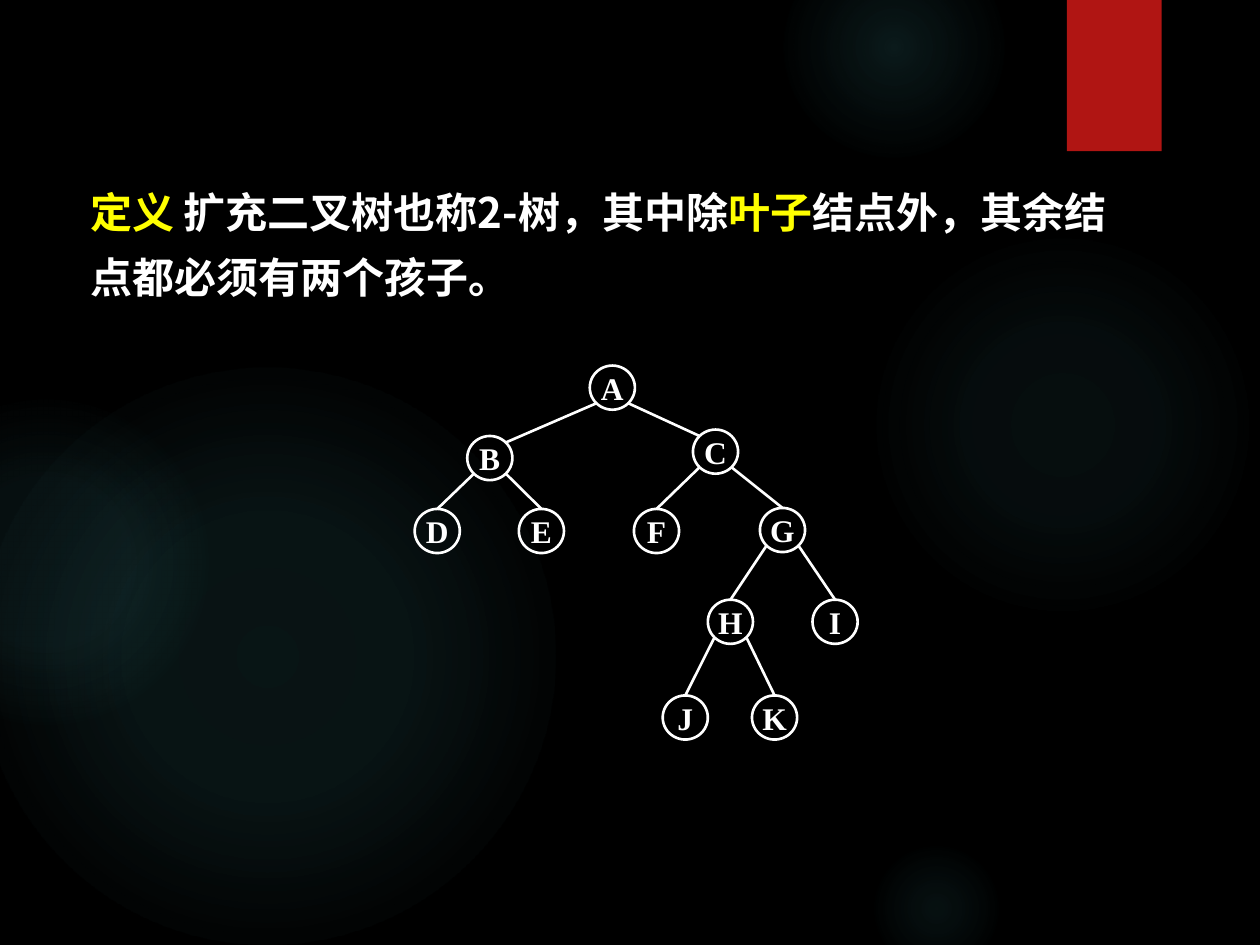
from dataclasses import dataclass
from math import sqrt

from lxml.etree import SubElement
from pptx import Presentation
from pptx.dml.color import RGBColor
from pptx.enum.shapes import MSO_CONNECTOR as Connector, MSO_SHAPE as Shape
from pptx.enum.text import MSO_ANCHOR as Anchor, PP_ALIGN as Align
from pptx.oxml import parse_xml
from pptx.oxml.ns import nsdecls, qn
from pptx.util import Cm, Pt


@dataclass(frozen=True)
class Theme:
    background: RGBColor = RGBColor(0x00, 0x00, 0x00)
    text: RGBColor = RGBColor(0xFF, 0xFF, 0xFF)
    keyword: RGBColor = RGBColor(0xFF, 0xFF, 0x00)
    ribbon: RGBColor = RGBColor(0xB0, 0x15, 0x13)
    glow: RGBColor = RGBColor(0x50, 0xB9, 0xC1)
    body_font: str = "Noto Sans CJK SC"
    node_font: str = "Times New Roman"
    body_size: Pt = Pt(24)
    body_leading: Pt = Pt(37)
    node_size: Pt = Pt(18)
    line_width: Pt = Pt(1.5)


theme = Theme()


def radial_fill(shape, stops):
    """Fill with the glow colour fading outwards; stops are (position %, opacity %)."""
    properties = shape._element.spPr
    stop_xml = "".join(
        f'<a:gs pos="{position * 1000}"><a:srgbClr val="{theme.glow}">'
        f'<a:alpha val="{opacity * 1000}"/></a:srgbClr></a:gs>'
        for position, opacity in stops
    )
    gradient = parse_xml(
        f'<a:gradFill {nsdecls("a")} rotWithShape="1"><a:gsLst>{stop_xml}</a:gsLst>'
        '<a:path path="circle"><a:fillToRect l="50000" t="50000" r="50000" b="50000"/>'
        "</a:path></a:gradFill>"
    )
    properties.find(qn("a:prstGeom")).addnext(gradient)


presentation = Presentation()
presentation.slide_width, presentation.slide_height = Cm(25.4), Cm(19.05)
slide = presentation.slides.add_slide(presentation.slide_layouts[6])
slide.background.fill.solid()
slide.background.fill.fore_color.rgb = theme.background

# Background glows: left, top, diameter, gradient stops
glows = [
    (17.5, 4.65, 7.82, [(0, 7), (36, 6), (69, 0)]),
    (15.8, -1.27, 4.44, [(0, 14), (36, 7), (73, 0)]),
    (17.5, 16.94, 2.74, [(0, 9), (36, 5), (66, 0)]),
    (-0.43, 7.42, 11.63, [(0, 11), (36, 10), (75, 0)]),
    (-2.34, 8.05, 6.55, [(0, 8), (36, 8), (72, 0)]),
]
for left, top, diameter, stops in glows:
    glow = slide.shapes.add_shape(
        Shape.OVAL, Cm(left), Cm(top), Cm(diameter), Cm(diameter)
    )
    glow.shadow.inherit = False
    glow.line.fill.background()
    radial_fill(glow, stops)

ribbon = slide.shapes.add_shape(Shape.RECTANGLE, Cm(21.51), 0, Cm(1.91), Cm(3.05))
ribbon.shadow.inherit = False
ribbon.fill.solid()
ribbon.fill.fore_color.rgb = theme.ribbon
ribbon.line.fill.background()

# Definition
definition = slide.shapes.add_textbox(Cm(1.57), Cm(3.25), Cm(21.11), Cm(3.63))
frame = definition.text_frame
frame.word_wrap = True
frame.margin_top = Cm(0.23)
paragraph = frame.paragraphs[0]
paragraph.line_spacing = theme.body_leading
paragraph.font.size = theme.body_size
paragraph.font.bold = True
paragraph.font.name = theme.body_font
for text, color in [
    ("定义 ", theme.keyword),
    ("扩充二叉树也称2-树，其中除", theme.text),
    ("叶子", theme.keyword),
    ("结点外，其余结点都必须有两个孩子。", theme.text),
]:
    run = paragraph.add_run()
    run.text = text
    run.font.color.rgb = color
    SubElement(run._r.get_or_add_rPr(), qn("a:ea"), typeface=theme.body_font)

# Tree nodes: left, top
node_width, node_height = Cm(0.91), Cm(0.89)
positions = {
    "A": (11.89, 7.37),
    "B": (9.42, 8.79),
    "C": (13.97, 8.66),
    "D": (8.36, 10.26),
    "E": (10.46, 10.26),
    "F": (12.78, 10.26),
    "G": (15.32, 10.24),
    "H": (14.27, 12.09),
    "I": (16.38, 12.09),
    "J": (13.36, 14.02),
    "K": (15.16, 14.02),
}
tree = slide.shapes.add_group_shape()
nodes = {}
for name, (left, top) in positions.items():
    node = tree.shapes.add_shape(
        Shape.OVAL, Cm(left), Cm(top), node_width, node_height
    )
    node.shadow.inherit = False
    node.fill.background()
    node.line.color.rgb = theme.text
    node.line.width = theme.line_width
    frame = node.text_frame
    frame.word_wrap = False
    frame.vertical_anchor = Anchor.MIDDLE
    paragraph = frame.paragraphs[0]
    paragraph.text = name
    paragraph.alignment = Align.CENTER
    paragraph.font.size = theme.node_size
    paragraph.font.bold = True
    paragraph.font.name = theme.node_font
    paragraph.font.color.rgb = theme.text
    nodes[name] = node


def diagonal_point(node, across, down):
    """Point on the node's outline at 45 degrees; across and down are -1 or 1."""
    return (
        round(node.left + node.width / 2 * (1 + across / sqrt(2))),
        round(node.top + node.height / 2 * (1 + down / sqrt(2))),
    )


# Branches leave a parent diagonally; the root's reach its children diagonally too
children = {"A": "BC", "B": "DE", "C": "FG", "G": "HI", "H": "JK"}
for parent, pair in children.items():
    for child, side in zip(pair, (-1, 1)):
        start = diagonal_point(nodes[parent], side, 1)
        end = diagonal_point(nodes[child], -side, -1)
        branch = tree.shapes.add_connector(Connector.STRAIGHT, *start, *end)
        if parent != "A":
            branch.end_connect(nodes[child], 0)
        branch.line.color.rgb = theme.text
        branch.line.width = theme.line_width
        SubElement(branch._element.spPr, qn("a:effectLst"))

presentation.save("out.pptx")
